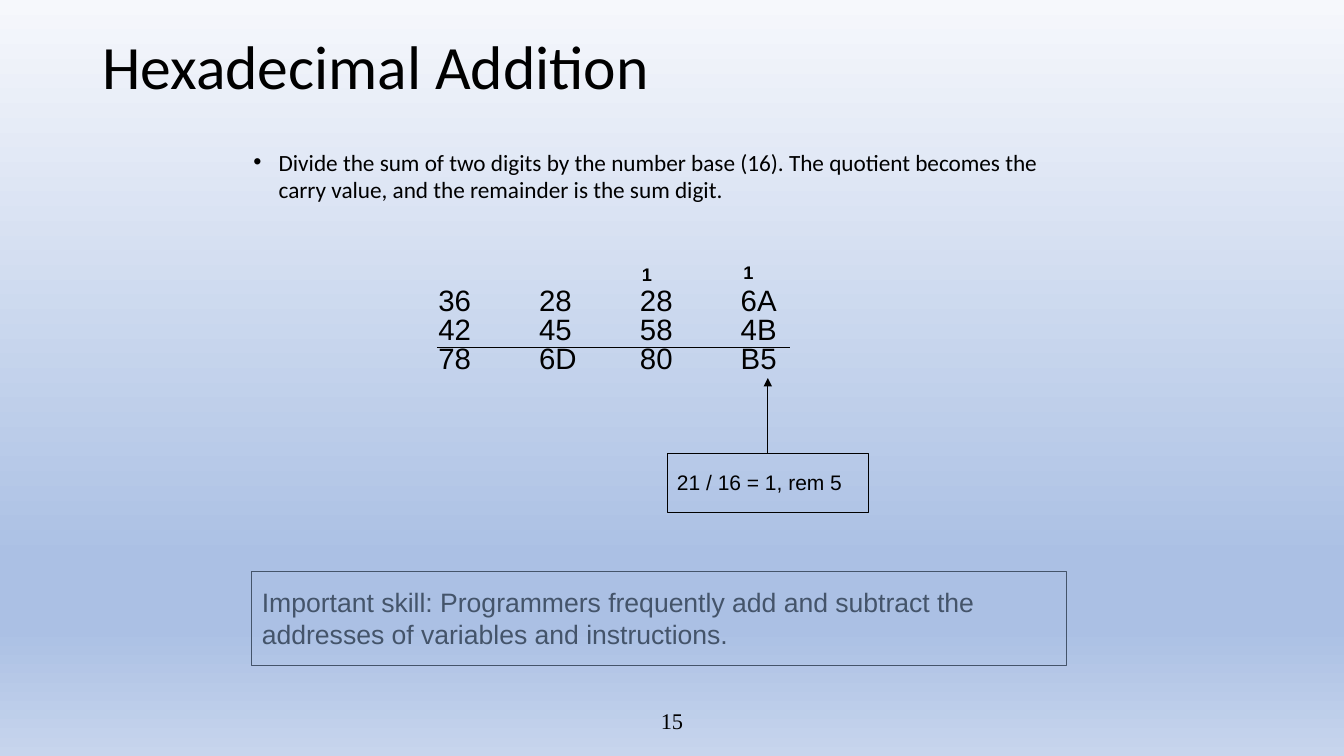
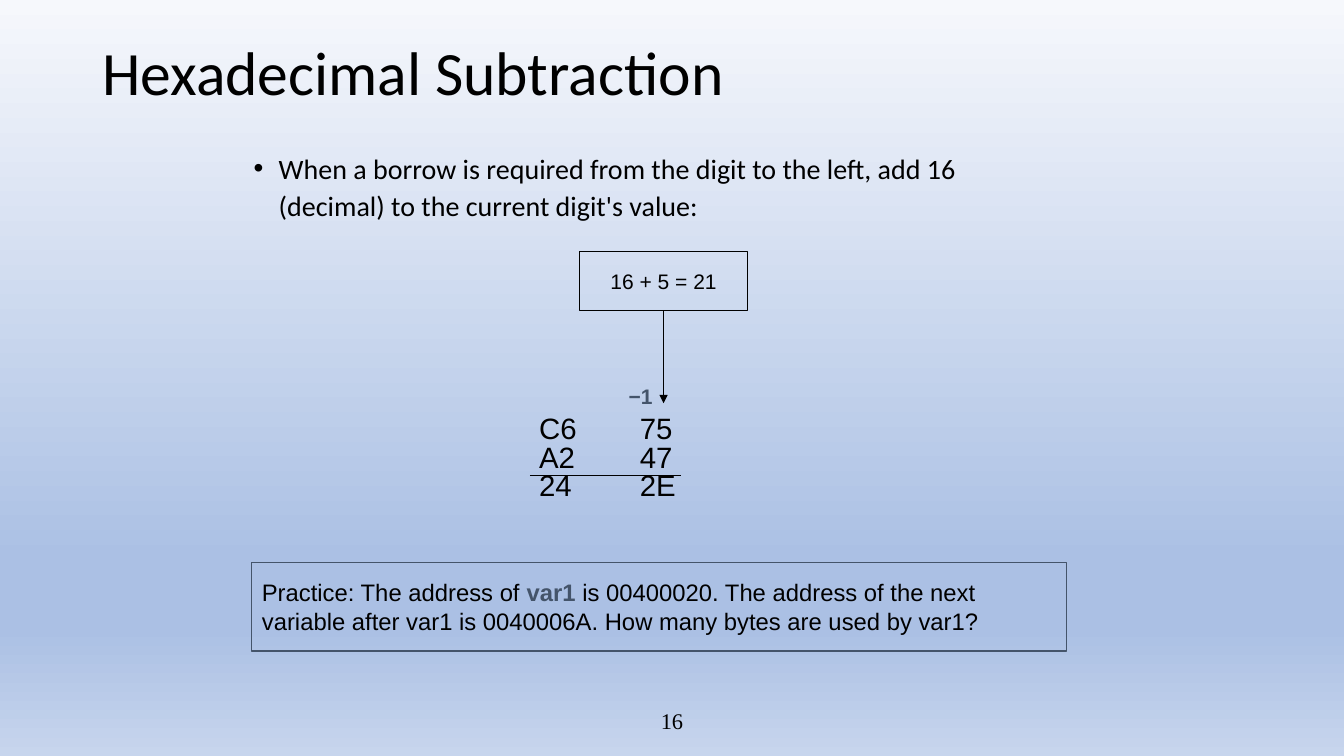
from dataclasses import dataclass

import pptx
import pptx.dml.color
import pptx.enum.shapes
import pptx.enum.text
import pptx.oxml
import pptx.oxml.ns
import pptx.util
from lxml import etree

Pt = pptx.util.Pt
qn = pptx.oxml.ns.qn
ALIGN = pptx.enum.text.PP_ALIGN
ANCHOR = pptx.enum.text.MSO_ANCHOR


@dataclass(frozen=True)
class Theme:
    ink: str = "000000"
    accent: str = "44546A"
    backdrop: tuple = ((0, "F6F8FC"), (74, "ABC0E4"), (83, "ABC0E4"), (100, "C7D5ED"))
    heading_font: str = "Calibri"
    body_font: str = "Arial"
    number_font: str = "Times New Roman"
    title_size: float = 44
    sum_size: float = 21
    callout_size: float = 15
    number_size: float = 16
    line_width: float = 0.75


@dataclass(frozen=True)
class Box:
    left: float
    top: float
    width: float
    height: float

    def lengths(self):
        return [Pt(value) for value in (self.left, self.top, self.width, self.height)]


THEME = Theme()
TIGHT = (7.2, 3.6)
ROOMY = (7.2, 10.8)
NUMBER_BOX = Box(318, 500.4, 324, 28.8)
COLUMN_PITCH = 72


def rgb(color):
    return pptx.dml.color.RGBColor.from_string(color)


def style_run(span, size, font, color, bold=False):
    span.font.size = Pt(size)
    span.font.name = font
    span.font.color.rgb = rgb(color)
    span.font.bold = bold


def set_frame(shape, inset, anchor=ANCHOR.TOP):
    frame = shape.text_frame
    frame.word_wrap = True
    frame.vertical_anchor = anchor
    frame.margin_left = frame.margin_right = Pt(inset[0])
    frame.margin_top = frame.margin_bottom = Pt(inset[1])
    return frame


def add_text(page, box, text, size, font=THEME.body_font, color=THEME.ink, bold=False,
             align=ALIGN.LEFT, spacing=1.0, before=0.0, inset=TIGHT, anchor=ANCHOR.TOP):
    """Add a text box in one style, one paragraph for each line of text."""
    frame = set_frame(page.shapes.add_textbox(*box.lengths()), inset, anchor)
    frame.text = text
    for para in frame.paragraphs:
        para.alignment = align
        para.line_spacing = spacing
        para.space_before = Pt(before)
        for span in para.runs:
            style_run(span, size, font, color, bold)
    return frame


def add_outlined_box(page, box, color):
    shape = page.shapes.add_shape(pptx.enum.shapes.MSO_SHAPE.RECTANGLE, *box.lengths())
    shape.shadow.inherit = False
    shape.fill.background()
    shape.line.color.rgb = rgb(color)
    shape.line.width = Pt(THEME.line_width)
    set_frame(shape, ROOMY)
    return shape


def add_line(page, start, end, arrow=False):
    line = page.shapes.add_connector(
        pptx.enum.shapes.MSO_CONNECTOR.STRAIGHT, *[Pt(value) for value in (*start, *end)])
    line.line.color.rgb = rgb(THEME.ink)
    line.line.width = Pt(THEME.line_width)
    if arrow:
        outline = line.element.spPr.find(qn("a:ln"))
        etree.SubElement(outline, qn("a:tailEnd"), type="triangle")
    etree.SubElement(line.element.spPr, qn("a:effectLst"))
    return line


def set_backdrop(master):
    """Give every slide the shared vertical gradient."""
    fill = master.background.fill
    fill.gradient()
    fill.gradient_angle = 270
    stops = master.element.find(".//" + qn("a:gsLst"))
    for stop in list(stops):
        stops.remove(stop)
    for percent, color in THEME.backdrop:
        stop = etree.SubElement(stops, qn("a:gs"), pos=str(percent * 1000))
        etree.SubElement(stop, qn("a:srgbClr"), val=color)


def add_page(deck, title, title_top, number):
    page = deck.slides.add_slide(deck.slide_layouts[6])
    add_text(page, NUMBER_BOX, str(number), THEME.number_size, THEME.number_font,
             align=ALIGN.CENTER, anchor=ANCHOR.MIDDLE)
    add_text(page, Box(66, title_top, 828, 104.4), title, THEME.title_size,
             THEME.heading_font, spacing=0.9, anchor=ANCHOR.MIDDLE)
    return page


def add_bullet(page, box, text, size, spacing=1.0):
    frame = add_text(page, box, text, size, THEME.heading_font, spacing=spacing, before=10)
    properties = frame.paragraphs[0]._p.get_or_add_pPr()
    properties.set("marL", str(Pt(18)))
    properties.set("indent", str(Pt(-18)))
    etree.SubElement(properties, qn("a:buFont"), typeface="Arial")
    etree.SubElement(properties, qn("a:buChar"), char="•")


def add_sums(page, box, rows, rule_left, rule_width):
    """Set the sums in tabbed columns, with a rule above the results."""
    text = "\n".join("\t".join(row.split()) for row in rows)
    frame = add_text(page, box, text, THEME.sum_size, spacing=0.4, before=10.4, inset=ROOMY)
    for para in frame.paragraphs:
        tabs = etree.SubElement(para._p.get_or_add_pPr(), qn("a:tabLst"))
        for column in range(1, len(rows[0].split())):
            etree.SubElement(tabs, qn("a:tab"), pos=str(Pt(column * COLUMN_PITCH)), algn="l")
    rule_top = box.top + 44.4
    add_line(page, (rule_left, rule_top), (rule_left + rule_width, rule_top))


def add_carry(page, box, text, size, color=THEME.ink):
    add_text(page, box, text, size, color=color, bold=True, inset=ROOMY)


def add_callout(page, box, text, align, side, tip):
    """Box a remark and point an arrow from its side (0 top, 2 bottom) to height tip."""
    shape = add_outlined_box(page, box, THEME.ink)
    shape.text_frame.text = text
    para = shape.text_frame.paragraphs[0]
    para.alignment = align
    para.line_spacing = 1.05
    style_run(para.runs[0], THEME.callout_size, THEME.body_font, THEME.ink)
    center = box.left + box.width / 2
    edge = box.top if side == 0 else box.top + box.height
    add_line(page, (center, edge), (center, tip), arrow=True).begin_connect(shape, side)


def add_note(page, box, spans, size):
    """Add the closing note from spans of (text, color, bold)."""
    shape = add_outlined_box(page, box, THEME.accent)
    para = shape.text_frame.paragraphs[0]
    para.alignment = ALIGN.LEFT
    for text, color, bold in spans:
        span = para.add_run()
        span.text = text
        style_run(span, size, THEME.body_font, color, bold)


def build_addition(deck):
    page = add_page(deck, "Hexadecimal Addition", -2.5, 15)
    add_bullet(page, Box(174, 102, 590, 48),
               "Divide the sum of two digits by the number base (16). The quotient becomes "
               "the carry value, and the remainder is the sum digit.", 16.6)
    add_sums(page, Box(306, 204, 306, 77),
             ("36 28 28 6A", "42 45 58 4B", "78 6D 80 B5"), 312, 252)
    for left, top in ((524, 178.5), (451.5, 180)):
        add_carry(page, Box(left, top, 22.5, 37.5), "1", 13)
    add_callout(page, Box(476.5, 324, 144, 42), "21 / 16 = 1, rem 5", ALIGN.LEFT, 0, 270)
    add_note(page, Box(180, 408, 582, 67.5),
             [("Important skill: Programmers frequently add and subtract the addresses of "
               "variables and instructions.", THEME.accent, False)], 19)


def build_subtraction(deck):
    page = add_page(deck, "Hexadecimal Subtraction", 2, 16)
    add_bullet(page, Box(174, 102, 558, 60),
               "When a borrow is required from the digit to the left, add 16 (decimal) to "
               "the current digit's value:", 20, 1.1)
    add_sums(page, Box(378, 295, 138, 77), ("C6 75", "A2 47", "24 2E"), 378.5, 108)
    add_carry(page, Box(442, 265, 42, 40), "−1", THEME.callout_size, THEME.accent)
    add_callout(page, Box(414, 180, 120, 42), "16 + 5 = 21", ALIGN.CENTER, 2, 288)
    add_note(page, Box(180, 402, 582, 63),
             [("Practice: The address of ", THEME.ink, False),
              ("var1", THEME.accent, True),
              (" is 00400020. The address of the next variable after var1 is 0040006A. "
               "How many bytes are used by var1?", THEME.ink, False)], 17)


def main():
    deck = pptx.Presentation()
    deck.slide_width, deck.slide_height = Pt(960), Pt(540)
    set_backdrop(deck.slide_master)
    build_addition(deck)
    build_subtraction(deck)
    deck.save("out.pptx")


if __name__ == "__main__":
    main()
